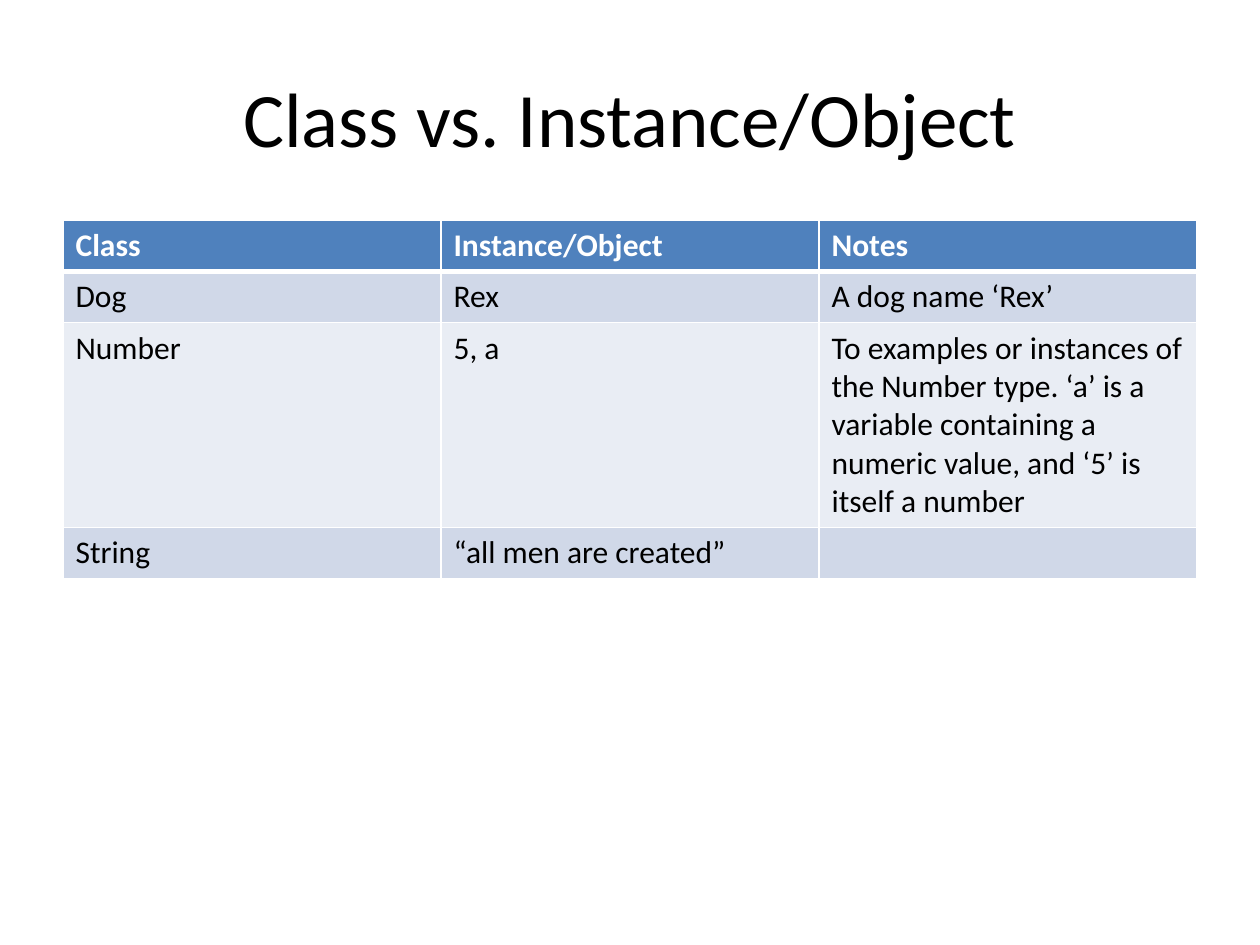
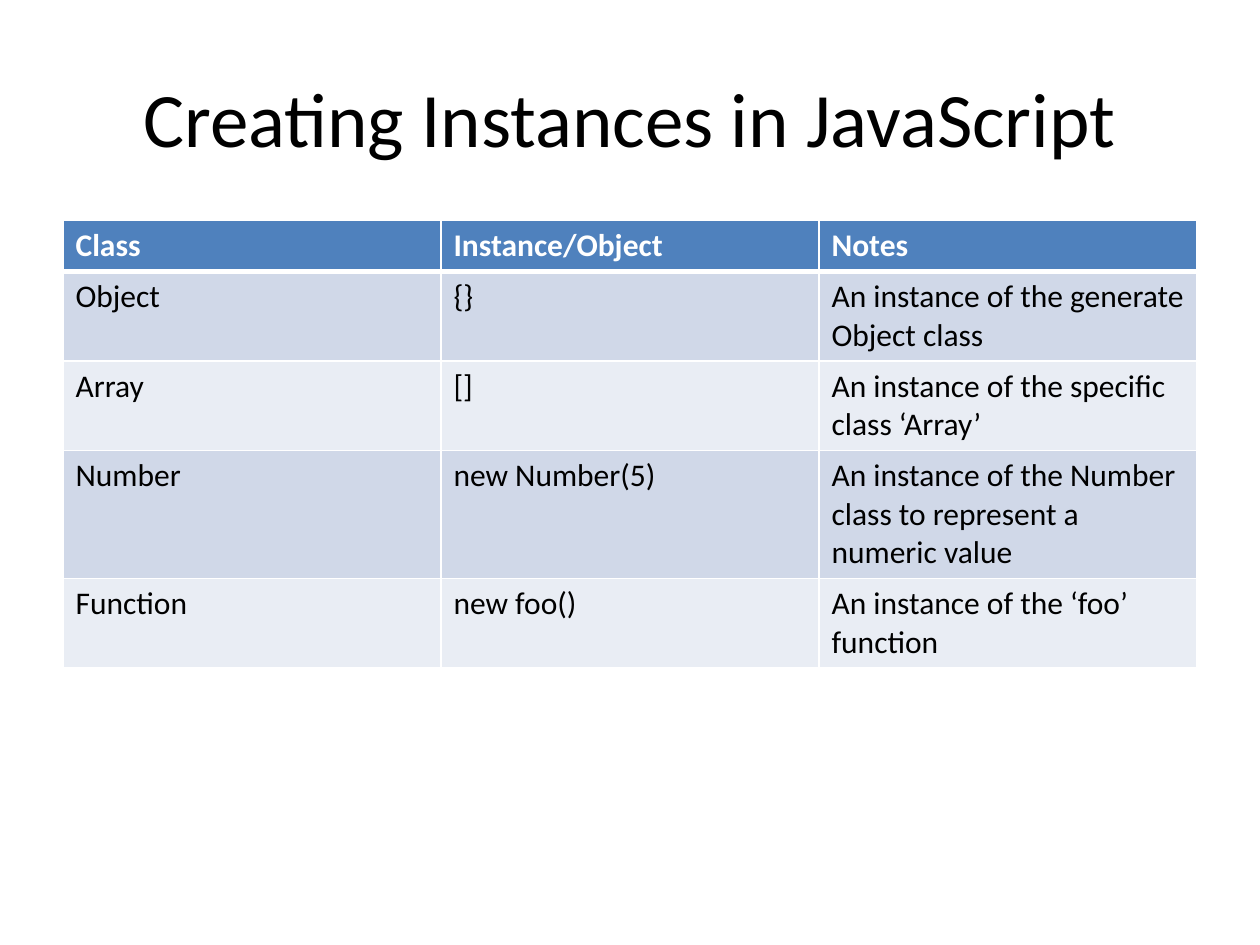
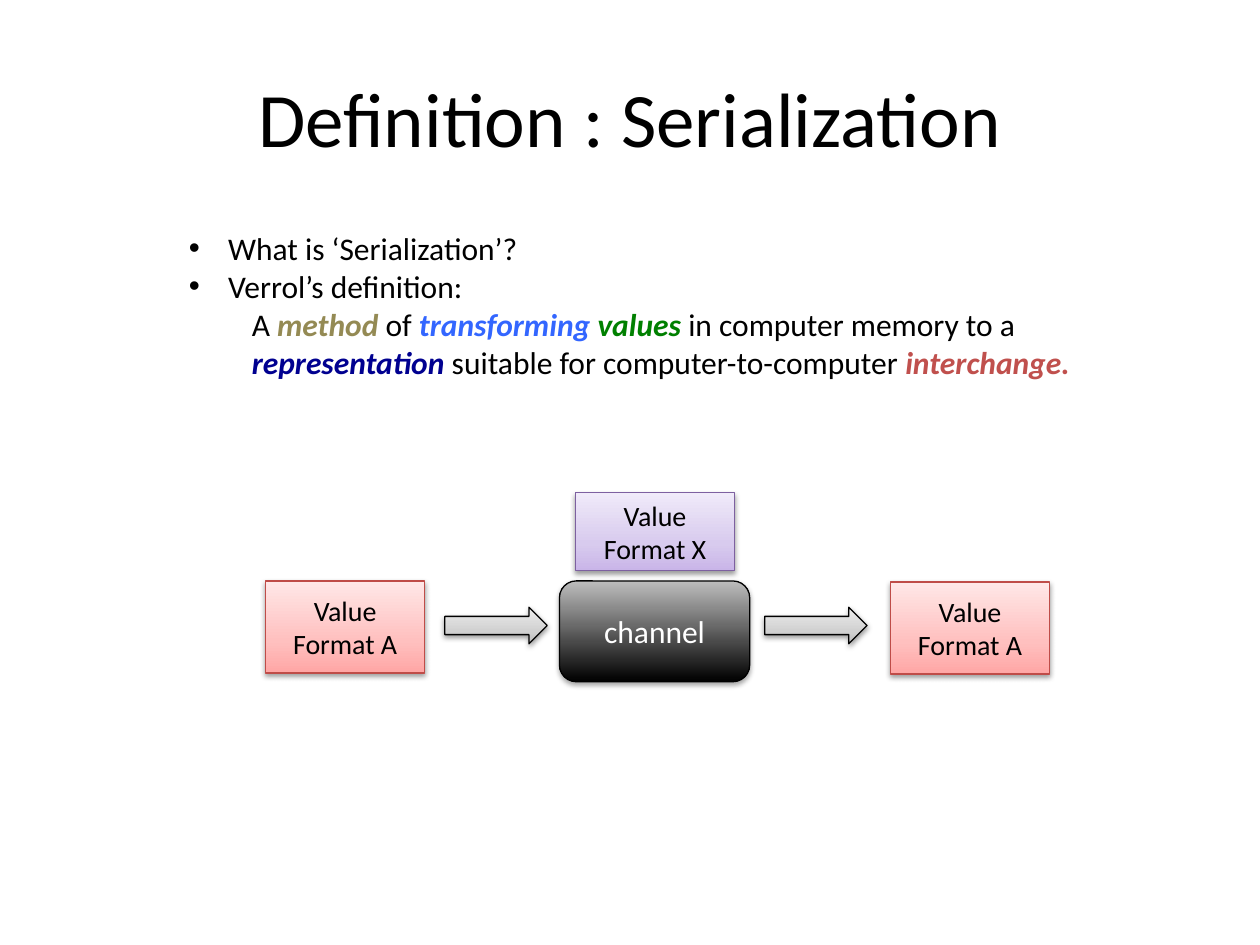
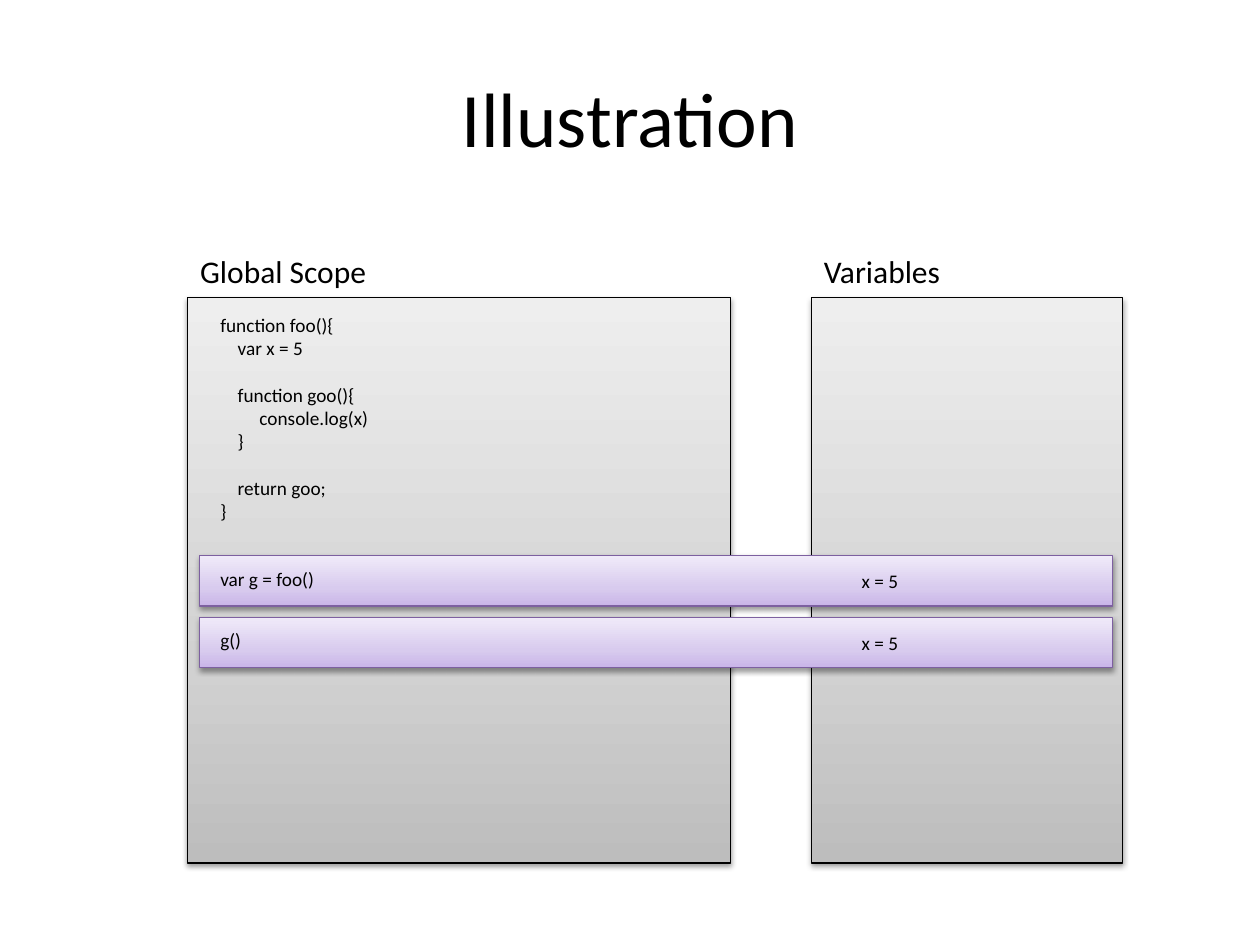
from dataclasses import dataclass

from lxml import etree
from pptx import Presentation
from pptx.dml.color import RGBColor
from pptx.enum.shapes import MSO_SHAPE
from pptx.enum.text import MSO_ANCHOR, MSO_AUTO_SIZE, PP_ALIGN
from pptx.oxml.ns import qn
from pptx.util import Pt

FONT = "Calibri"
BLACK = RGBColor(0x00, 0x00, 0x00)
WHITE = RGBColor(0xFF, 0xFF, 0xFF)
HEADER_BLUE = RGBColor(0x4F, 0x81, 0xBD)
BAND_COLOURS = (RGBColor(0xD0, 0xD8, 0xE8), RGBColor(0xE9, 0xED, 0xF4))
TAN = RGBColor(0x94, 0x8A, 0x54)
BRIGHT_BLUE = RGBColor(0x33, 0x66, 0xFF)
GREEN = RGBColor(0x00, 0x80, 0x00)
NAVY = RGBColor(0x00, 0x00, 0x90)
BRICK = RGBColor(0xC0, 0x50, 0x4D)
RED_LINE = RGBColor(0xBF, 0x4C, 0x48)
PURPLE_LINE = RGBColor(0x7D, 0x60, 0xA0)
DARK_GREY = RGBColor(0xBD, 0xBD, 0xBD)
MID_GREY = RGBColor(0xD1, 0xD1, 0xD1)
PALE_GREY = RGBColor(0xEE, 0xEE, 0xEE)
DARK_PINK = RGBColor(0xFF, 0xA6, 0xA5)
MID_PINK = RGBColor(0xFF, 0xC0, 0xBF)
PALE_PINK = RGBColor(0xFF, 0xE7, 0xE7)
DARK_LILAC = RGBColor(0xC9, 0xB5, 0xE8)
MID_LILAC = RGBColor(0xD8, 0xCB, 0xEE)
PALE_LILAC = RGBColor(0xF0, 0xEA, 0xF9)


@dataclass
class Look:
    """Gradient stops from bottom to top, with line colour and shadow opacity."""
    stops: tuple
    line: RGBColor = BLACK
    shadow_opacity: int = 38
    shadow_distance: float = 1.6


GREY = Look(((0, DARK_GREY), (35, MID_GREY), (100, PALE_GREY)))
PINK = Look(((0, DARK_PINK), (35, MID_PINK), (100, PALE_PINK)), RED_LINE)
LILAC = Look(((0, DARK_LILAC), (35, MID_LILAC), (100, PALE_LILAC)), PURPLE_LINE)
DARK = Look(((0, BLACK), (100, DARK_GREY)), shadow_opacity=35, shadow_distance=1.8)


@dataclass
class Line:
    """One paragraph; runs are (text, format) pairs, lengths are in points."""
    runs: list
    left: float = 0
    bullet: bool = False
    space_before: float = 0


def add_element(parent, tag, **attributes):
    element = etree.SubElement(parent, qn(tag))
    for name, value in attributes.items():
        element.set(name, str(value))
    return element


def add_bullet(paragraph, left):
    properties = paragraph._p.get_or_add_pPr()
    properties.set("marL", str(Pt(left)))
    properties.set("indent", str(-Pt(left)))
    add_element(properties, "a:buFont", typeface="Arial")
    add_element(properties, "a:buChar", char="•")


def write_text(frame, lines, size=18, colour=BLACK, bold=False, italic=False,
               align=PP_ALIGN.LEFT, anchor=MSO_ANCHOR.TOP):
    """Fill a text frame with lines, each a string or a Line."""
    frame.vertical_anchor = anchor
    for index, line in enumerate(lines):
        if isinstance(line, str):
            line = Line([(line, {})])
        paragraph = frame.paragraphs[0] if index == 0 else frame.add_paragraph()
        paragraph.alignment = align
        if line.space_before:
            paragraph.space_before = Pt(line.space_before)
        if line.bullet:
            add_bullet(paragraph, line.left)
        elif line.left:
            paragraph.level = 1
            properties = paragraph._p.get_or_add_pPr()
            properties.set("marL", str(Pt(line.left)))
            properties.set("indent", "0")
        for text, changes in line.runs:
            run = paragraph.add_run()
            run.text = text
            font = run.font
            font.name = FONT
            font.size = Pt(size)
            font.bold = changes.get("bold", bold)
            font.italic = changes.get("italic", italic)
            font.color.rgb = changes.get("colour", colour)


def set_borders(cell, **widths):
    properties = cell._tc.get_or_add_tcPr()
    for side in "LRTB":
        border = add_element(properties, f"a:ln{side}", w=Pt(widths.get(side, 1)))
        fill = add_element(border, "a:solidFill")
        add_element(fill, "a:srgbClr", val=WHITE)


class Deck:
    def __init__(self):
        self.presentation = Presentation()
        self.presentation.slide_width = Pt(720)
        self.presentation.slide_height = Pt(540)
        self.slide = None

    def new_slide(self, title):
        self.slide = self.presentation.slides.add_slide(self.presentation.slide_layouts[6])
        self.text(36, 21.6, 648, 90, [title], grow=False, size=44,
                  align=PP_ALIGN.CENTER, anchor=MSO_ANCHOR.MIDDLE)

    def text(self, left, top, width, height, lines, wrap=True, grow=True, **text_format):
        box = self.slide.shapes.add_textbox(Pt(left), Pt(top), Pt(width), Pt(height))
        frame = box.text_frame
        frame.word_wrap = wrap
        frame.auto_size = MSO_AUTO_SIZE.SHAPE_TO_FIT_TEXT if grow else MSO_AUTO_SIZE.NONE
        write_text(frame, lines, **text_format)

    def shape(self, kind, left, top, width, height, look, lines=(), **text_format):
        shape = self.slide.shapes.add_shape(kind, Pt(left), Pt(top), Pt(width), Pt(height))
        shape.fill.gradient()
        shape.fill.gradient_angle = 90
        properties = shape._element.spPr
        stop_list = properties.find(qn("a:gradFill")).find(qn("a:gsLst"))
        for stop in list(stop_list):
            stop_list.remove(stop)
        for position, colour in look.stops:
            stop = add_element(stop_list, "a:gs", pos=position * 1000)
            add_element(stop, "a:srgbClr", val=colour)
        shape.line.color.rgb = look.line
        shape.line.width = Pt(0.75)
        shape.shadow.inherit = False
        shadow = add_element(properties.find(qn("a:effectLst")), "a:outerShdw",
                             blurRad=Pt(3.1), dist=Pt(look.shadow_distance),
                             dir=90 * 60000, rotWithShape=0)
        shade = add_element(shadow, "a:srgbClr", val=BLACK)
        add_element(shade, "a:alpha", val=look.shadow_opacity * 1000)
        write_text(shape.text_frame, lines, align=PP_ALIGN.CENTER,
                   anchor=MSO_ANCHOR.MIDDLE, **text_format)

    def table(self, rows, row_height=29.2):
        """Header row in blue, then rows in alternating bands."""
        table = self.slide.shapes.add_table(
            len(rows), len(rows[0]), Pt(36), Pt(126), Pt(648),
            Pt(row_height * len(rows))).table
        for row_index, row in enumerate(rows):
            is_header = row_index == 0
            for column_index, text in enumerate(row):
                cell = table.cell(row_index, column_index)
                set_borders(cell, B=3 if is_header else 1, T=3 if row_index == 1 else 1)
                cell.fill.solid()
                cell.fill.fore_color.rgb = (
                    HEADER_BLUE if is_header else BAND_COLOURS[(row_index - 1) % 2])
                if text:
                    write_text(cell.text_frame, [text], bold=is_header,
                               colour=WHITE if is_header else BLACK)


TABLE_HEADER = ("Class", "Instance/Object", "Notes")


def build_class_slide(deck):
    deck.new_slide("Class vs. Instance/Object")
    deck.table([
        TABLE_HEADER,
        ("Dog", "Rex", "A dog name ‘Rex’"),
        ("Number", "5, a", "To examples or instances of the Number type. ‘a’ is a variable "
                           "containing a numeric value, and ‘5’ is itself a number"),
        ("String", "“all men are created”", ""),
    ])


def build_instances_slide(deck):
    deck.new_slide("Creating Instances in JavaScript")
    deck.table([
        TABLE_HEADER,
        ("Object", "{}", "An instance of the generate Object class"),
        ("Array", "[]", "An instance of the specific class ‘Array’"),
        ("Number", "new Number(5)",
         "An instance of the Number class to represent a numeric value"),
        ("Function", "new foo()", "An instance of the ‘foo’ function"),
    ])


def build_serialization_slide(deck):
    def key_term(text, colour):
        return text, {"colour": colour, "bold": True, "italic": True}

    deck.new_slide("Definition : Serialization")
    deck.text(100.8, 127.4, 524.2, 94.3, [
        Line([("What is ‘Serialization’?", {})], left=22.5, bullet=True),
        Line([("Verrol’s definition:", {})], left=22.5, bullet=True),
        Line([
            ("A ", {}), key_term("method", TAN), (" of ", {}),
            key_term("transforming ", BRIGHT_BLUE), key_term("values ", GREEN),
            ("in computer memory to a ", {}), key_term("representation ", NAVY),
            ("suitable for computer-to-computer ", {}), key_term("interchange.", BRICK),
        ], left=36),
    ])
    for arrow_left in (254.2, 437):
        deck.shape(MSO_SHAPE.RIGHT_ARROW, arrow_left, 347, 58.5, 20.9, GREY)
    deck.shape(MSO_SHAPE.FLOWCHART_ALTERNATE_PROCESS, 319.7, 332, 108.7, 57.6, DARK,
               ["channel"], colour=WHITE)
    for left, top, height, look, letter in (
            (151.9, 332, 52.6, PINK, "A"),
            (509, 332.6, 52.6, PINK, "A"),
            (329, 281.5, 44.6, LILAC, "X")):
        deck.shape(MSO_SHAPE.RECTANGLE, left, top, 90.7, height, look,
                   ["Value", f"Format {letter}"], size=16)


def build_illustration_slide(deck):
    deck.new_slide("Illustration")
    for left, width, heading, heading_width in (
            (107.3, 310.3, "Global Scope", 110.2),
            (463.7, 177.8, "Variables", 82.8)):
        deck.shape(MSO_SHAPE.RECTANGLE, left, 169.9, width, 323.3, GREY)
        deck.text(left, 140.4, heading_width, 28.8, [heading], wrap=False)

    code_size = 11
    skipped_line = 13.4
    code_left = 118.8
    deck.text(code_left, 175.7, 100, 127.4, [
        "function foo(){",
        "    var x = 5",
        Line([("    function goo(){", {})], space_before=skipped_line),
        "         console.log(x)",
        "    }",
        Line([("    return goo;", {})], space_before=skipped_line),
        "}",
    ], wrap=False, size=code_size)

    for index, (call, call_width) in enumerate((("var g = foo()", 69.1), ("g()", 26.6))):
        top = 317.5 + index * 35.3
        deck.shape(MSO_SHAPE.RECTANGLE, 113.8, top, 522, 28.8, LILAC)
        deck.text(code_left, top + 2.9, call_width, 20.9, [call], wrap=False, size=code_size)
        deck.text(485.3, top + 4.5, 36.7, 20.9, ["x = 5"], wrap=False, size=code_size)


def main():
    deck = Deck()
    build_class_slide(deck)
    build_instances_slide(deck)
    build_serialization_slide(deck)
    build_illustration_slide(deck)
    deck.presentation.save("out.pptx")


if __name__ == "__main__":
    main()
